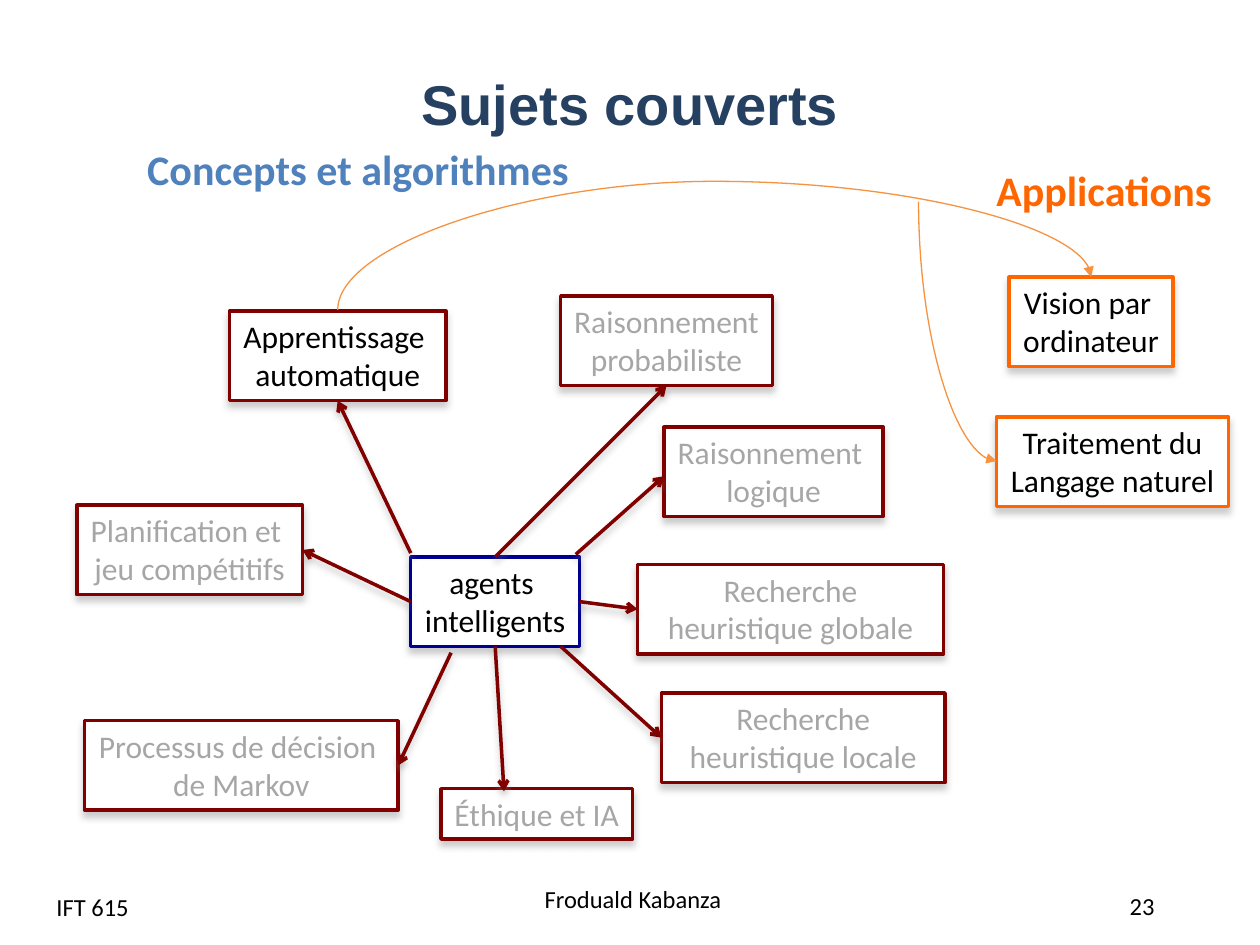
from lxml.etree import SubElement
from pptx import Presentation
from pptx.dml.color import RGBColor
from pptx.enum.shapes import MSO_CONNECTOR, MSO_SHAPE
from pptx.enum.text import MSO_ANCHOR, MSO_AUTO_SIZE, PP_ALIGN
from pptx.oxml.ns import qn
from pptx.util import Inches, Pt

COLORS = {
    "navy": "254061", "blue": "4F81BD", "agent": "000090", "concept": "800000",
    "application": "FF6600", "curve": "F69240", "black": "000000",
    "muted": "A6A6A6", "white": "FFFFFF", "shadow": "808080",
}
COLUMNS, ROWS = 100, 75
TOP, LEFT, BOTTOM, RIGHT = range(4)


class TopicMap:
    font = "Calibri"

    def __init__(self, deck):
        self.page = deck.slides.add_slide(deck.slide_layouts[5])
        self.column = deck.slide_width / COLUMNS
        self.row = deck.slide_height / ROWS

    def place(self, left, top, width, height):
        return (round(left * self.column), round(top * self.row),
                round(width * self.column), round(height * self.row))

    def color(self, name):
        return RGBColor.from_string(COLORS[name])

    def set_text(self, shape, text, size, color, align, anchor, bold=False, font=None):
        frame = shape.text_frame
        frame.text = text
        frame.vertical_anchor = anchor
        for para in frame.paragraphs:
            para.alignment = align
            for span in para.runs:
                span.font.name = font or self.font
                span.font.size = Pt(size)
                span.font.bold = bold
                span.font.color.rgb = self.color(color)

    def title(self, text, area):
        title = self.page.shapes.title
        title.left, title.top, title.width, title.height = self.place(*area)
        self.set_text(title, text, 32, "navy", PP_ALIGN.CENTER, MSO_ANCHOR.MIDDLE, True, "Arial")

    def label(self, text, area, align=PP_ALIGN.LEFT):
        box = self.page.shapes.add_textbox(*self.place(*area))
        box.text_frame.word_wrap = True
        self.set_text(box, text, 14, "black", align, MSO_ANCHOR.MIDDLE)

    def heading(self, text, area, color):
        box = self.page.shapes.add_textbox(*self.place(*area))
        box.text_frame.word_wrap = False
        box.text_frame.auto_size = MSO_AUTO_SIZE.SHAPE_TO_FIT_TEXT
        self.set_text(box, text, 24, color, PP_ALIGN.LEFT, MSO_ANCHOR.TOP, True)

    def add_shadow(self, effects):
        shadow = SubElement(effects, qn("a:outerShdw"), blurRad=str(Pt(4)),
                            dist=str(Pt(3)), dir="5400000", rotWithShape="0")
        tint = SubElement(shadow, qn("a:srgbClr"), val=COLORS["shadow"])
        SubElement(tint, qn("a:alpha"), val="40000")

    def topic(self, text, area, outline, color="black", wrap=False):
        box = self.page.shapes.add_shape(MSO_SHAPE.RECTANGLE, *self.place(*area))
        box.fill.solid()
        box.fill.fore_color.rgb = self.color("white")
        box.line.color.rgb = self.color(outline)
        box.line.width = Pt(2)
        box.shadow.inherit = False
        self.add_shadow(box._element.spPr.find(qn("a:effectLst")))
        box.text_frame.word_wrap = wrap
        box.text_frame.auto_size = MSO_AUTO_SIZE.SHAPE_TO_FIT_TEXT
        self.set_text(box, text, 18, color, PP_ALIGN.CENTER, MSO_ANCHOR.TOP)
        return box

    def connector(self, kind, ends, color, width, head):
        line = self.page.shapes.add_connector(kind, *self.place(*ends))
        line.line.color.rgb = self.color(color)
        line.line.width = Pt(width)
        outline = line._element.spPr.find(qn("a:ln"))
        SubElement(outline, qn("a:tailEnd"), type=head)
        return line, SubElement(line._element.spPr, qn("a:effectLst"))

    def arrow(self, start, end):
        free = [isinstance(point[0], (int, float)) for point in (start, end)]
        first = start if free[0] else (0, 0)
        last = end if free[1] else (0, 0)
        line, effects = self.connector(MSO_CONNECTOR.STRAIGHT, first + last, "concept", 2, "arrow")
        self.add_shadow(effects)
        if not free[0]:
            line.begin_connect(*start)
        if not free[1]:
            line.end_connect(*end)

    def curve(self, area, rotation, flips, preset, bend=None):
        left, top, width, height = area
        line, _ = self.connector(MSO_CONNECTOR.CURVE, (left, top, left + width, top + height),
                                 "curve", 0.75, "triangle")
        frame = line._element.spPr.find(qn("a:xfrm"))
        frame.set("rot", str(rotation * 60000))
        for flip in flips:
            frame.set(flip, "1")
        geometry = line._element.spPr.find(qn("a:prstGeom"))
        geometry.set("prst", preset)
        if bend:
            SubElement(geometry.find(qn("a:avLst")), qn("a:gd"), name="adj1", fmla=f"val {bend}")


def main():
    deck = Presentation()
    deck.slide_width, deck.slide_height = Inches(10), Inches(7.5)
    page = TopicMap(deck)

    page.title("Sujets couverts", (2.5, 4.3, 95, 7.7))
    page.label(" Froduald Kabanza", (41.8, 69.5, 22.5, 3.7))
    page.label("23", (86.6, 70.6, 8.1, 2.6), PP_ALIGN.CENTER)
    page.label("IFT 615", (3.5, 70, 23.3, 4))

    tall = 7.1
    agents = page.topic("agents \nintelligents", (32.6, 44.2, 13.4, tall), "agent")
    page.topic("Raisonnement \nlogique", (52.7, 33.9, 17.4, tall), "concept", "muted")
    learning = page.topic("Apprentissage \nautomatique", (18.2, 24.7, 17.2, tall), "concept")
    markov = page.topic("Processus de décision \nde Markov", (6.7, 57.2, 24.9, tall),
                        "concept", "muted")
    planning = page.topic("Planification et \njeu compétitifs", (6.1, 40.1, 17.9, tall),
                          "concept", "muted")
    local_search = page.topic("Recherche heuristique locale", (52.5, 55, 22.5, tall),
                              "concept", "muted", True)
    global_search = page.topic("Recherche heuristique globale", (50.6, 44.8, 24.3, tall),
                               "concept", "muted", True)
    page.topic("Éthique et IA", (35, 62.6, 15.2, 4), "concept", "muted")
    probability = page.topic("Raisonnement\nprobabiliste", (44.5, 23.5, 16.8, tall),
                             "concept", "muted")

    for start, end in (
        ((agents, TOP), (probability, BOTTOM)),
        ((32.6, 43.9), (learning, BOTTOM)),
        ((agents, RIGHT), (global_search, LEFT)),
        ((44.5, 51.3), (local_search, LEFT)),
        ((agents, BOTTOM), (40, 62.8)),
        ((agents, LEFT), (planning, RIGHT)),
        ((35.8, 51.8), (markov, RIGHT)),
        ((45.7, 44), (52.7, 37.8)),
    ):
        page.arrow(start, end)

    page.heading("Applications", (78.1, 12.6, 19.3, 5), "application")
    page.heading("Concepts et algorithmes", (10.7, 10.9, 35.8, 5), "blue")
    page.topic("Vision par \nordinateur", (80.1, 22, 13, tall), "application")
    page.curve((55.4, -6.6, 2.6, 59.8), 90, ("flipH", "flipV"), "curvedConnector3", 392600)
    page.topic("Traitement du\nLangage naturel", (79.1, 33.1, 18.4, tall), "application")
    page.curve((65.7, 23.2, 20.6, 6.2), 270, ("flipH",), "curvedConnector2")

    deck.save("out.pptx")


if __name__ == "__main__":
    main()
